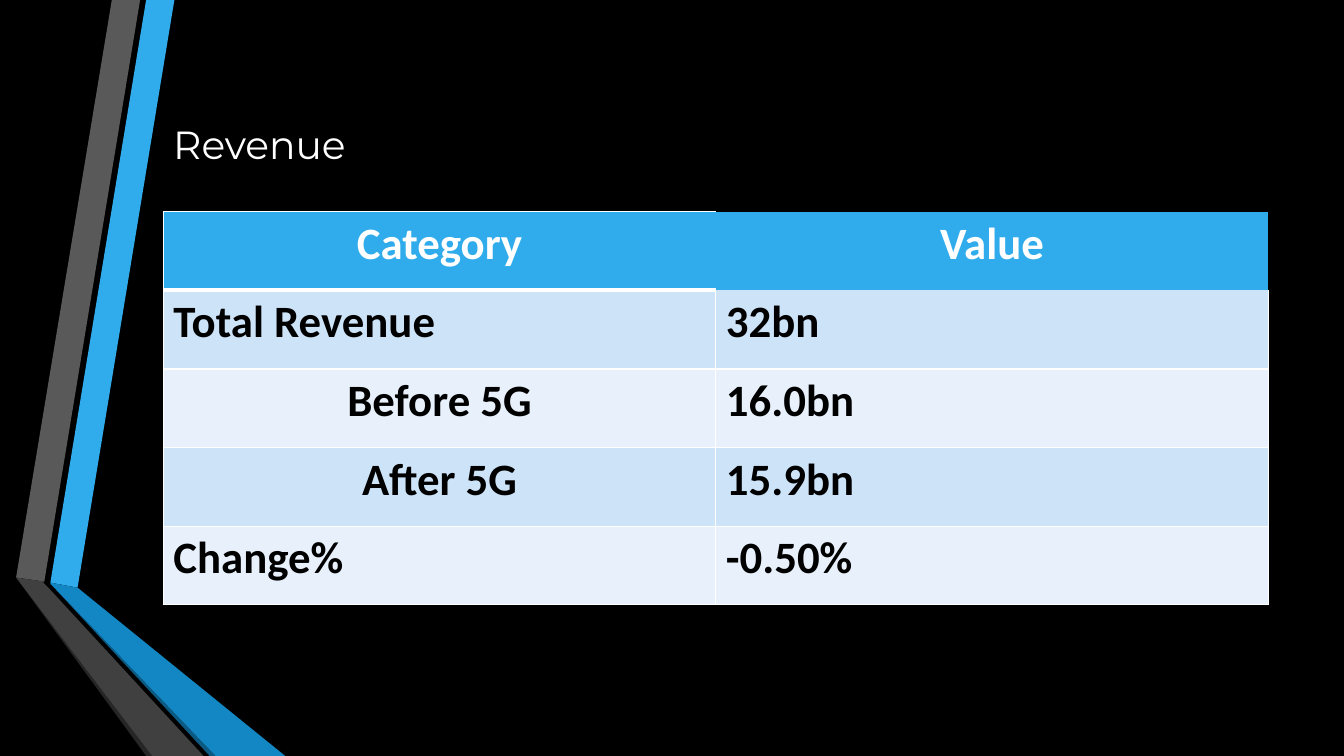
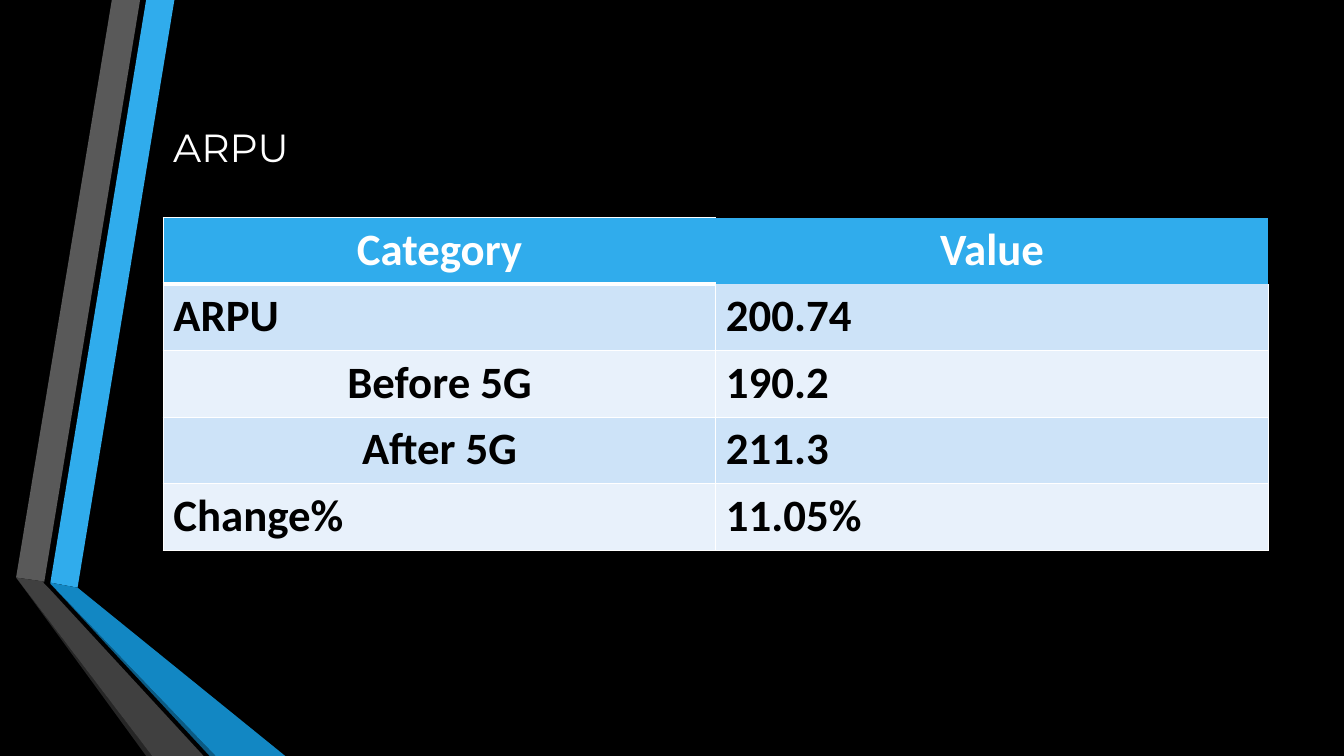
import collections

import lxml.etree
import pptx
import pptx.dml.color
import pptx.enum.text
import pptx.oxml.ns
import pptx.util

COLORS = {
    "background": "000000",
    "white": "FFFFFF",
    "black": "000000",
    "blue": "30ACEC",
    "blue_fold": "1287C3",
    "blue_edge": "0C5A82",
    "gray": "595959",
    "gray_fold": "404040",
    "gray_edge": "262626",
    "row_odd": "CDE3F8",
    "row_even": "E8F1FB",
}
TITLE_FONT = "Montserrat"
TABLE_FONT = "Calibri"
PLAIN_TABLE_STYLE = "{2D5ABB26-0587-4C30-8999-92F81FD0307C}"
EDGE_TAGS = {"left": "a:lnL", "right": "a:lnR", "top": "a:lnT", "bottom": "a:lnB"}

# The layout grid: 1333 columns by 750 rows over the whole slide
GRID_COLUMNS, GRID_ROWS = 1333, 750

# Ribbon pieces from back to front, as corners on the grid
RIBBON = [
    ("blue", [(50, 578), (77, 583), (173, 0), (145, 0)]),
    ("gray", [(139, 0), (111, 0), (16, 573), (44, 577)]),
    ("gray_edge", [(16, 573), (145, 750), (151, 750)]),
    ("blue_edge", [(50, 579), (208, 750), (214, 750)]),
    ("blue_fold", [(50, 579), (214, 750), (283, 750), (77, 583), (50, 578)]),
    ("gray_fold", [(202, 750), (48, 583), (43, 578), (44, 577), (16, 573), (151, 750)]),
]

CONTENT_LEFT, CONTENT_WIDTH = 162, 1096
TITLE_TOP = 75

# Each slide: title, top of the table, row height, and the body rows
SLIDES = [
    ("Revenue", 210, 78, [
        ("Total Revenue", "32bn"), ("Before 5G", "16.0bn"),
        ("After 5G", "15.9bn"), ("Change%", "-0.50%")]),
    ("ARPU", 216, 66, [
        ("ARPU", "200.74"), ("Before 5G", "190.2"),
        ("After 5G", "211.3"), ("Change%", "11.05%")]),
]
HEADER = ("Category", "Value")
CENTERED = {*HEADER, "Before 5G", "After 5G"}

Box = collections.namedtuple("Box", "left top width height")


def rgb(name):
    return pptx.dml.color.RGBColor.from_string(COLORS[name])


def grid_box(slide_box, left, top, width, height):
    """Turn grid columns and rows into a box on the slide."""
    column = slide_box.width / GRID_COLUMNS
    row = slide_box.height / GRID_ROWS
    return Box(round(slide_box.left + left * column), round(slide_box.top + top * row),
               round(width * column), round(height * row))


def write_text(text_frame, text, font, size, color, bold=False, centered=False):
    alignment = pptx.enum.text.PP_ALIGN
    paragraph = text_frame.paragraphs[0]
    paragraph.alignment = alignment.CENTER if centered else alignment.LEFT
    run = paragraph.add_run()
    run.text = text
    run.font.name = font
    run.font.size = pptx.util.Pt(size)
    run.font.bold = bold
    run.font.color.rgb = rgb(color)


def draw_ribbon(slide, box):
    """Folded ribbon along the left side."""
    group = slide.shapes.add_group_shape()
    for color, corners in RIBBON:
        points = [grid_box(box, x, y, 0, 0)[:2] for x, y in corners]
        builder = group.shapes.build_freeform(*points[0])
        builder.add_line_segments(points[1:], close=True)
        shape = builder.convert_to_shape()
        shape.shadow.inherit = False
        shape.fill.solid()
        shape.fill.fore_color.rgb = rgb(color)
        shape.line.fill.background()


def draw_title(slide, box, text):
    text_frame = slide.shapes.add_textbox(*box).text_frame
    text_frame.word_wrap = True
    text_frame.vertical_anchor = pptx.enum.text.MSO_ANCHOR.MIDDLE
    write_text(text_frame, text, font=TITLE_FONT, size=28, color="white")


def cell_edges(row, column):
    """Border widths in points for one cell."""
    if row == 0:
        return {"left": 1, "top": 1, "bottom": 3} if column == 0 else {}
    edges = {"left": 1, "right": 1, "bottom": 1}
    if row > 1:
        edges["top"] = 1
    elif column == 0:
        edges["top"] = 3
    return edges


def draw_edges(cell, edges):
    properties = cell._tc.get_or_add_tcPr()
    qn = pptx.oxml.ns.qn
    for side, tag in EDGE_TAGS.items():
        if side in edges:
            line = lxml.etree.SubElement(properties, qn(tag), w=str(pptx.util.Pt(edges[side])))
            fill = lxml.etree.SubElement(line, qn("a:solidFill"))
            lxml.etree.SubElement(fill, qn("a:srgbClr"), val=COLORS["white"])


def draw_table(slide, box, rows):
    table = slide.shapes.add_table(len(rows), len(HEADER), *box).table
    style = table._tbl.tblPr.find(pptx.oxml.ns.qn("a:tableStyleId"))
    style.text = PLAIN_TABLE_STYLE
    for row, texts in enumerate(rows):
        for column, text in enumerate(texts):
            cell = table.cell(row, column)
            draw_edges(cell, cell_edges(row, column))
            fill = "blue" if row == 0 else "row_odd" if row % 2 else "row_even"
            cell.fill.solid()
            cell.fill.fore_color.rgb = rgb(fill)
            write_text(cell.text_frame, text, font=TABLE_FONT, size=32, bold=True,
                       color="white" if row == 0 else "black",
                       centered=text in CENTERED)


def build_table_slide(presentation, box, title, table_top, row_height, body):
    slide = presentation.slides.add_slide(presentation.slide_layouts[6])
    rows = [HEADER, *body]
    draw_ribbon(slide, box)
    # The title fills the space down to the table
    draw_title(slide, grid_box(box, CONTENT_LEFT, TITLE_TOP, CONTENT_WIDTH,
                               table_top - TITLE_TOP), title)
    draw_table(slide, grid_box(box, CONTENT_LEFT, table_top, CONTENT_WIDTH,
                               row_height * len(rows)), rows)


def main():
    presentation = pptx.Presentation()
    presentation.slide_width = pptx.util.Inches(13.33)
    presentation.slide_height = pptx.util.Inches(7.5)
    # Shared background on the master
    background = presentation.slide_master.background.fill
    background.solid()
    background.fore_color.rgb = rgb("background")
    slide_box = Box(0, 0, presentation.slide_width, presentation.slide_height)
    for content in SLIDES:
        build_table_slide(presentation, slide_box, *content)
    presentation.save("out.pptx")


if __name__ == "__main__":
    main()
